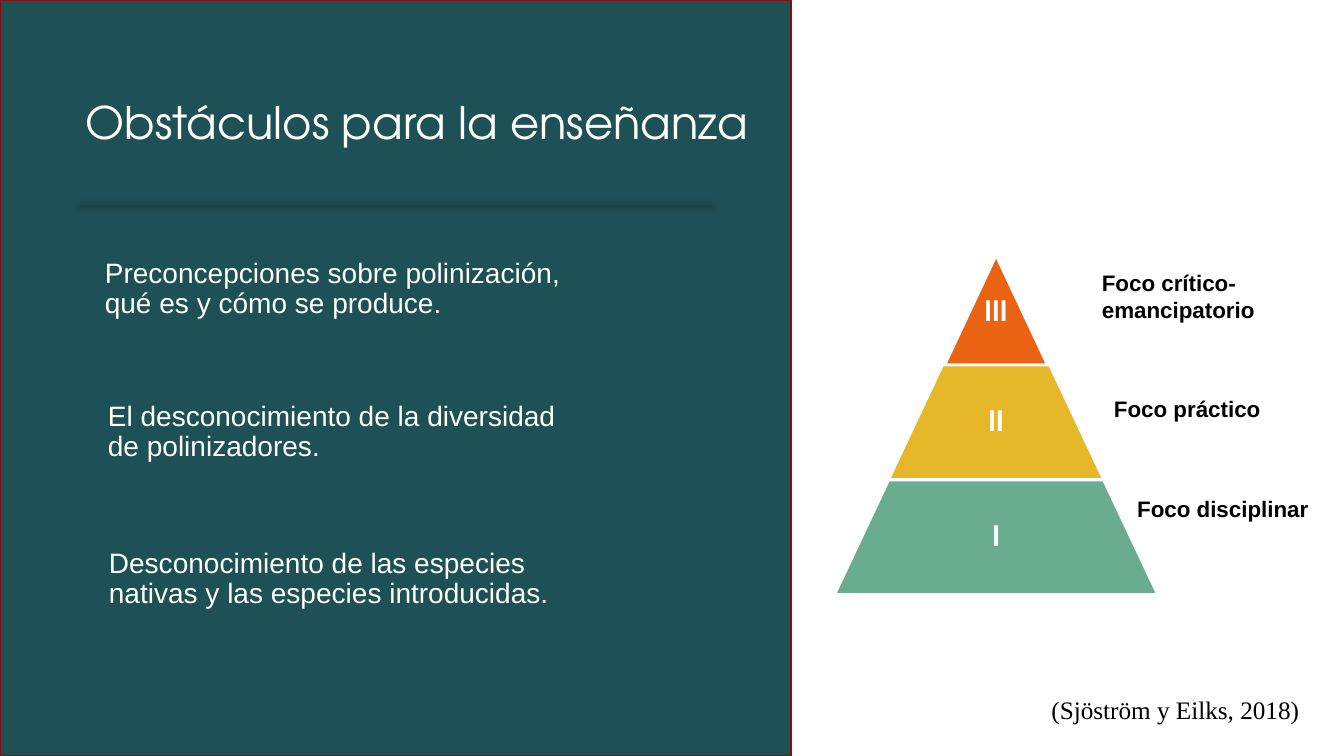
import pptx
import pptx.util
import pptx.dml.color
import pptx.enum.shapes
import pptx.enum.text
import pptx.oxml

WIDTH, HEIGHT = 13.33, 7.5
SANS, DISPLAY, SERIF = "Arial", "TeX Gyre Adventor", "Times New Roman"
WHITE, BLACK, TEAL, DARK_RED, RULE = "FFFFFF", "000000", "1E5155", "82100E", "1B4A4D"

TITLE = ("Obstáculos para la enseñanza", (0.75, 0.66, 7.22, 0.86))
CITATION = ("(Sjöström y Eilks, 2018)", (10.33, 6.84, 3.01, 0.4))
OBSTACLES = [
    ("Preconcepciones sobre polinización, qué es y cómo se produce.", 0.96, 2.49, 1.07),
    ("El desconocimiento de la diversidad de polinizadores.", 0.99, 3.91, 1.89),
    ("Desconocimiento de las especies nativas y las especies introducidas.", 1.0, 5.37, 1.6),
]
TIERS = [("III", "EA6312", 2.53, 0.5), ("II", "E6B729", 3.62, 0.471), ("I", "6AAC90", 4.76, 0.471)]
FOCUSES = [
    (("Foco crítico-", "emancipatorio"), (10.83, 2.62, 2.01, 0.64)),
    (("Foco práctico",), (10.95, 3.87, 2.38, 0.37)),
    (("Foco disciplinar",), (11.18, 4.86, 2.15, 0.37)),
]
PANEL_WIDTH = 7.85
PYRAMID_CENTER, TIER_WIDTH, TIER_HEIGHT = 9.88, 1.07, 1.14
OBSTACLE_WIDTH = 4.98

ALIGN = pptx.enum.text.PP_ALIGN
ANCHOR = pptx.enum.text.MSO_ANCHOR
SHAPE = pptx.enum.shapes.MSO_SHAPE
NS = 'xmlns:a="http://schemas.openxmlformats.org/drawingml/2006/main"'
RULE_SHADOW = (
    f'<a:effectLst {NS}><a:outerShdw blurRad="63500" dist="38100" dir="5400000" rotWithShape="0">'
    '<a:srgbClr val="000000"><a:alpha val="60000"/></a:srgbClr></a:outerShdw></a:effectLst>'
)


def color(value):
    return pptx.dml.color.RGBColor.from_string(value)


def inches(box):
    return [pptx.util.Inches(v) for v in box]


def add_text(s, lines, box, size, font, ink, bold=False, align=ALIGN.LEFT,
             anchor=ANCHOR.TOP, spacing=1.0, inset=(0.1, 0.05)):
    tf = s.shapes.add_textbox(*inches(box)).text_frame
    tf.word_wrap = True
    tf.vertical_anchor = anchor
    tf.margin_left = tf.margin_right = pptx.util.Inches(inset[0])
    tf.margin_top = tf.margin_bottom = pptx.util.Inches(inset[1])
    for i, line in enumerate(lines):
        p = tf.add_paragraph() if i else tf.paragraphs[0]
        p.alignment = align
        p.line_spacing = spacing
        r = p.add_run()
        r.text = line
        r.font.size = pptx.util.Pt(size)
        r.font.name = font
        r.font.bold = bold
        r.font.color.rgb = color(ink)


def add_block(s, kind, box, fill, line, weight):
    sp = s.shapes.add_shape(kind, *inches(box))
    sp.shadow.inherit = False
    sp.fill.solid()
    sp.fill.fore_color.rgb = color(fill)
    sp.line.color.rgb = color(line)
    sp.line.width = pptx.util.Pt(weight)
    return sp


def add_pyramid(s):
    for level, (label, fill, top, slope) in enumerate(TIERS, 1):
        width = TIER_WIDTH * level
        box = (PYRAMID_CENTER - width / 2, top, width, TIER_HEIGHT)
        tier = add_block(s, SHAPE.TRAPEZOID, box, fill, WHITE, 2.25)
        tier.adjustments[0] = slope
        add_text(s, [label], box, 20, DISPLAY, WHITE, True, ALIGN.CENTER,
                 ANCHOR.MIDDLE, 0.9, (0.03, 0.03))
    for lines, box in FOCUSES:
        add_text(s, lines, box, 16, SANS, BLACK, True, ALIGN.JUSTIFY)


def add_panel(s):
    add_block(s, SHAPE.RECTANGLE, (0, 0, PANEL_WIDTH, HEIGHT), TEAL, DARK_RED, 1.5)
    rule = s.shapes.add_connector(pptx.enum.shapes.MSO_CONNECTOR.STRAIGHT,
                                  *inches((0.75, 2, 7.09, 2)))
    rule.line.color.rgb = color(RULE)
    rule.line.width = pptx.util.Pt(0.75)
    rule._element.spPr.append(pptx.oxml.parse_xml(RULE_SHADOW))
    for text, left, top, height in OBSTACLES:
        add_text(s, [text], (left, top, OBSTACLE_WIDTH, height), 20, SANS, WHITE,
                 spacing=0.9, inset=(0.08, 0.08))
    add_text(s, [TITLE[0]], TITLE[1], 32, DISPLAY, WHITE, anchor=ANCHOR.BOTTOM)


def main():
    """Build the slide on obstacles to teaching and save it."""
    prs = pptx.Presentation()
    prs.slide_width, prs.slide_height = inches((WIDTH, HEIGHT))
    s = prs.slides.add_slide(prs.slide_layouts[6])
    add_pyramid(s)
    add_panel(s)
    add_text(s, [CITATION[0]], CITATION[1], 18, SERIF, BLACK)
    prs.save("out.pptx")


if __name__ == "__main__":
    main()
